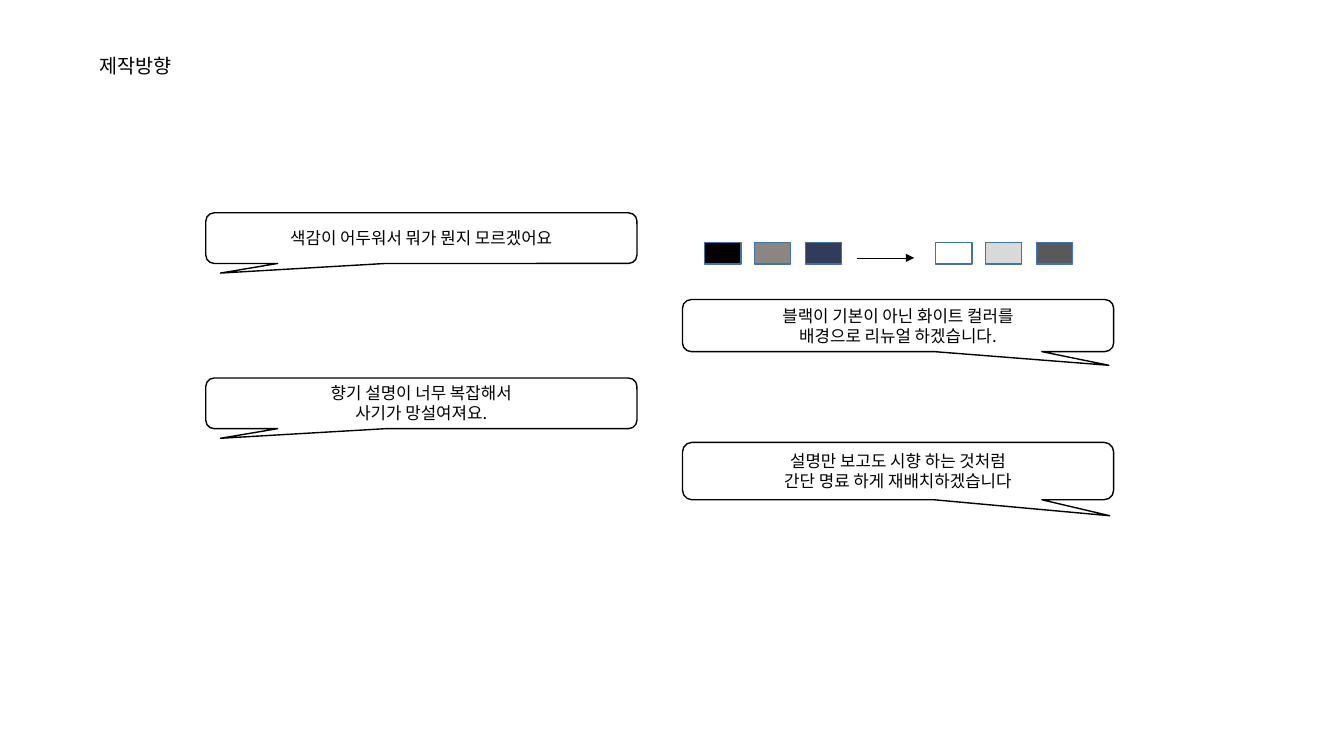
from dataclasses import dataclass

from lxml import etree
from pptx import Presentation
from pptx.dml.color import RGBColor
from pptx.enum.shapes import MSO_CONNECTOR, MSO_SHAPE
from pptx.enum.text import MSO_ANCHOR, PP_ALIGN
from pptx.oxml.ns import qn
from pptx.util import Pt

CALLOUT = MSO_SHAPE.ROUNDED_RECTANGULAR_CALLOUT
RECTANGLE = MSO_SHAPE.RECTANGLE
STRAIGHT = MSO_CONNECTOR.STRAIGHT
MIDDLE = MSO_ANCHOR.MIDDLE
TOP = MSO_ANCHOR.TOP
LEFT = PP_ALIGN.LEFT
CENTER = PP_ALIGN.CENTER


@dataclass(frozen=True)
class Theme:
    """Hold the colours, font and sizes of the slide."""
    font: str = "Noto Sans CJK KR"
    ink: str = "000000"
    paper: str = "FFFFFF"
    swatch_line: str = "43739E"
    accent_line: str = "4472C4"
    dark_palette: tuple = ("000000", "8B8681", "313C5C")
    light_palette: tuple = ("FFFFFF", "D9D9D9", "595959")
    title_size: float = 14
    body_size: float = 12
    leading: float = 1.19


THEME = Theme()


def write_text(shape, lines, size=THEME.body_size, align=CENTER, anchor=MIDDLE):
    """Write one paragraph per line in the shape."""
    frame = shape.text_frame
    frame.word_wrap = True
    frame.vertical_anchor = anchor
    for index, line in enumerate(lines):
        paragraph = frame.add_paragraph() if index else frame.paragraphs[0]
        paragraph.alignment = align
        paragraph.line_spacing = Pt(round(size * THEME.leading, 1))
        run = paragraph.add_run()
        run.text = line
        run.font.size = Pt(size)
        run.font.name = THEME.font
        run.font.color.rgb = RGBColor.from_string(THEME.ink)
        east_asian = etree.SubElement(run.font._element, qn("a:ea"))
        east_asian.set("typeface", THEME.font)


def add_box(slide, kind, box, fill, line):
    """Add a flat preset shape with a one-point outline."""
    shape = slide.shapes.add_shape(kind, *map(Pt, box))
    shape.shadow.inherit = False
    shape.fill.solid()
    shape.fill.fore_color.rgb = RGBColor.from_string(fill)
    shape.line.color.rgb = RGBColor.from_string(line)
    shape.line.width = Pt(1)
    return shape


def add_title(slide, box, text):
    """Add the slide heading."""
    title = slide.shapes.add_textbox(*map(Pt, box))
    write_text(title, [text], size=THEME.title_size, align=LEFT, anchor=TOP)


def add_callout(slide, box, tail, lines):
    """Add a speech bubble whose tail ends at the given share of its box."""
    bubble = add_box(slide, CALLOUT, box, THEME.paper, THEME.ink)
    for index, value in enumerate((*tail, 0.167)):
        bubble.adjustments[index] = value
    write_text(bubble, lines)


def add_arrow(slide, left, top, width):
    """Add a thin horizontal arrow pointing right."""
    arrow = slide.shapes.add_connector(
        STRAIGHT, Pt(left), Pt(top), Pt(left + width), Pt(top))
    arrow.line.color.rgb = RGBColor.from_string(THEME.ink)
    arrow.line.width = Pt(0.5)
    head = etree.SubElement(arrow.line._get_or_add_ln(), qn("a:tailEnd"))
    head.set("type", "triangle")
    etree.SubElement(arrow._element.spPr, qn("a:effectLst"))


def add_palette(slide, left, top, colours, last_line):
    """Add a row of three colour swatches."""
    outlines = (THEME.swatch_line, THEME.swatch_line, last_line)
    for offset, colour, line in zip((0, 35.5, 72), colours, outlines):
        add_box(slide, RECTANGLE, (left + offset, top, 26, 15.3), colour, line)


def add_colour_change(slide, left, top):
    """Show the dark palette turning into the light one."""
    add_palette(slide, left, top, THEME.dark_palette, THEME.swatch_line)
    add_arrow(slide, left + 108.7, top + 11, 41)
    add_palette(slide, left + 165, top, THEME.light_palette, THEME.accent_line)


def add_complaints(slide, left, top):
    """Add the customer remarks on the left."""
    remarks = (["색감이 어두워서 뭐가 뭔지 모르겠어요"],
               ["향기 설명이 너무 복잡해서", "사기가 망설여져요."])
    for index, lines in enumerate(remarks):
        box = (left, top + index * 118, 308, 36.2)
        add_callout(slide, box, (-0.466, 0.69), lines)


def add_answers(slide, left, top):
    """Add the planned improvements on the right."""
    answers = (
        (0, 37.2, (0.489, 0.763),
         ["블랙이 기본이 아닌 화이트 컬러를", "배경으로 리뉴얼 하겠습니다."]),
        (102, 41, (0.491, 0.779),
         ["설명만 보고도 시향 하는 것처럼", "간단 명료 하게 재배치하겠습니다"]),
    )
    for offset, height, tail, lines in answers:
        add_callout(slide, (left, top + offset, 308, height), tail, lines)


def main():
    """Build and save the slide."""
    presentation = Presentation()
    presentation.slide_width = Pt(960)
    presentation.slide_height = Pt(540)
    slide = presentation.slides.add_slide(presentation.slide_layouts[6])
    add_title(slide, (64, 35.3, 328, 24.5), "제작방향")
    add_complaints(slide, 147, 152)
    add_answers(slide, 487.5, 214)
    add_colour_change(slide, 503.3, 173.2)
    presentation.save("out.pptx")


if __name__ == "__main__":
    main()
